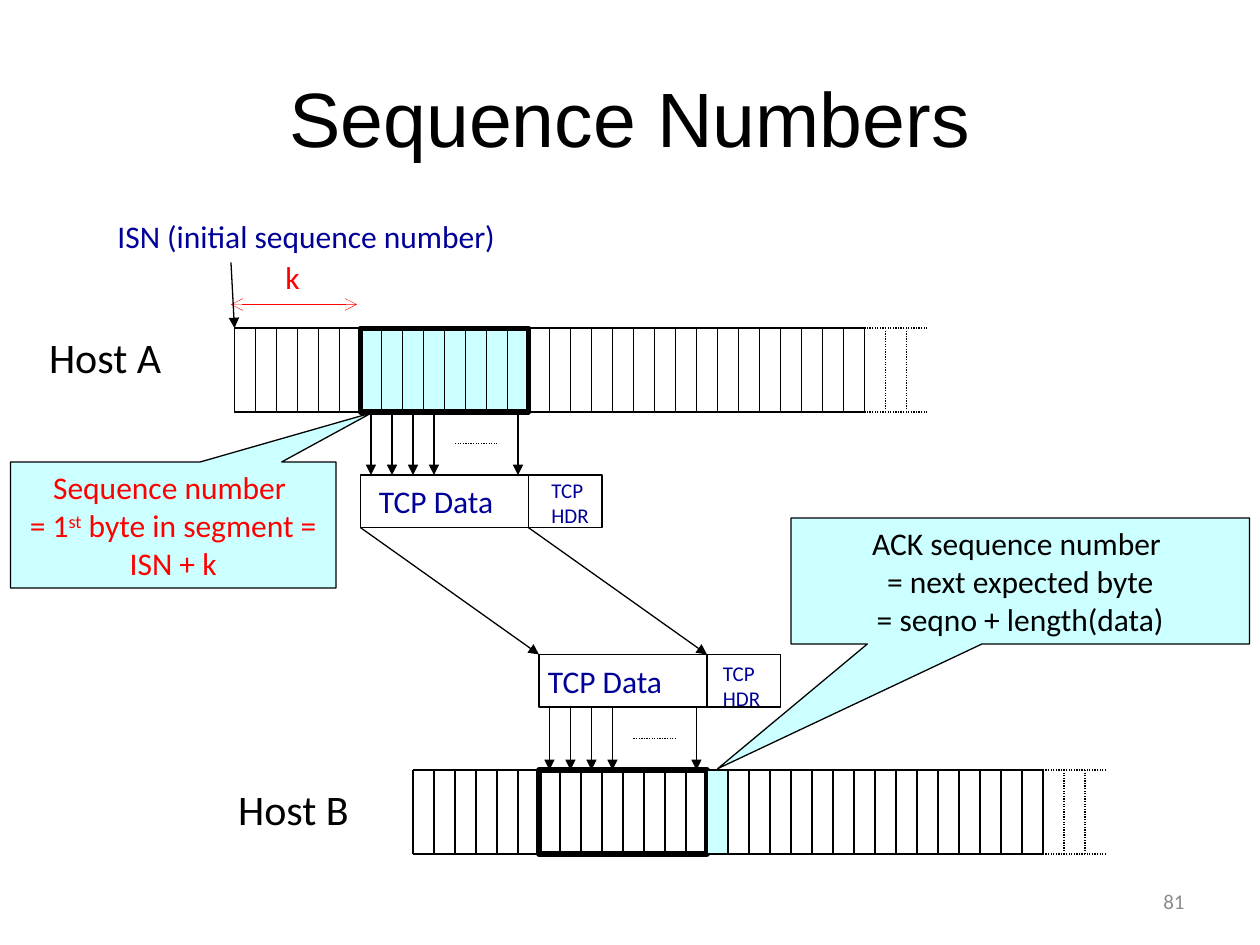
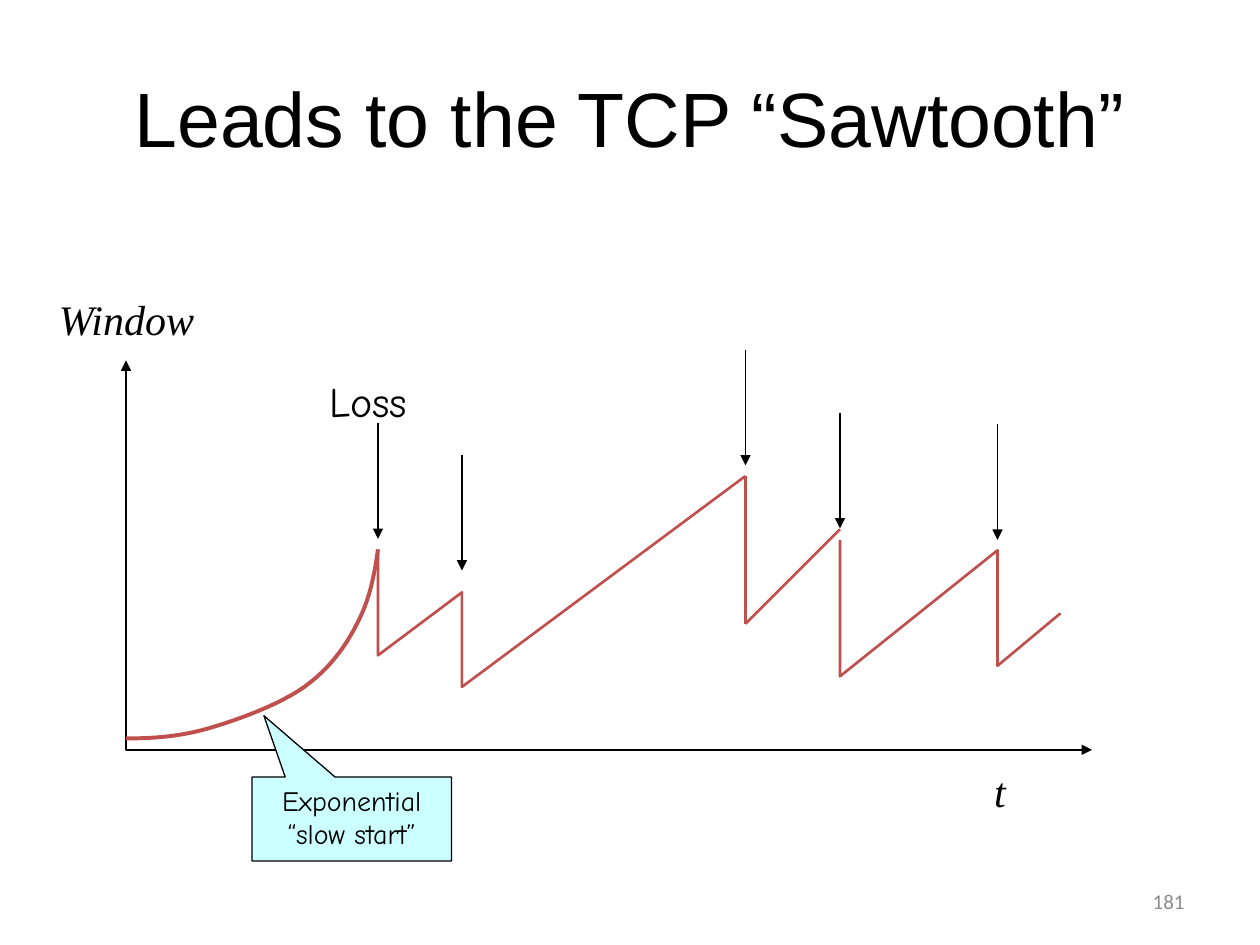
from dataclasses import dataclass, replace
from typing import NamedTuple

from lxml import etree
from pptx import Presentation
from pptx import util as u
from pptx.dml import color as col
from pptx.enum import dml, shapes, text
from pptx.oxml import ns

Point = tuple[float, float]


@dataclass(frozen=True)
class Theme:
    black: str = "000000"
    white: str = "FFFFFF"
    cyan: str = "CCFFFF"
    navy: str = "000099"
    red: str = "FF0000"
    brick: str = "C0504D"
    gray: str = "8C8C8C"
    head: float = 44
    large: float = 24
    body: float = 18
    note: float = 16
    small: float = 12


T = Theme()


@dataclass(frozen=True)
class Pen:
    color: str = T.black
    width: float = 0.75
    dots: bool = False
    head: str = ""
    tail: str = ""


@dataclass(frozen=True)
class Type:
    size: float = T.body
    color: str = T.black
    name: str = "Calibri"
    italic: bool = False


class Box(NamedTuple):
    left: float
    top: float
    width: float
    height: float

    def pts(self) -> list[u.Length]:
        return [u.Pt(side) for side in self]


class Host(NamedTuple):
    """A row of byte cells; the segment starts at its seventh cell."""
    left: float
    top: float


THIN = Pen()
DOTS = Pen(dots=True)
ARROW = Pen(tail="triangle")
BOLD = Pen(width=3)
SAW = Pen(T.brick, 1.5)
NAVY = Type(color=T.navy)
HDR = Type(T.small, T.navy)
LARGE = Type(T.large)
SERIF = Type(T.large, name="Times New Roman", italic=True)
COMIC = Type(T.note, name="Comic Neue")

CELL, TALL = 12, 48
LEAD, SENT, FULL, MORE = 6, 8, 30, 3
DATA = SENT * CELL
PACK, HEAD = 30, 42
GAP = 36


def rgb(code: str) -> col.RGBColor:
    return col.RGBColor.from_string(code)


def ink(shape, pen: Pen) -> None:
    """Style an outline, with its dots and arrowheads."""
    line = shape.line
    line.width = u.Pt(pen.width)
    line.color.rgb = rgb(pen.color)
    if pen.dots:
        line.dash_style = dml.MSO_LINE.ROUND_DOT
    stroke = shape.element.spPr.find(ns.qn("a:ln"))
    for tag, kind in (("a:headEnd", pen.head), ("a:tailEnd", pen.tail)):
        if kind:
            etree.SubElement(stroke, ns.qn(tag), type=kind)


def link(slide, start: Point, end: Point, pen: Pen = THIN) -> None:
    ends = [u.Pt(n) for n in (*start, *end)]
    line = slide.shapes.add_connector(shapes.MSO_CONNECTOR.STRAIGHT, *ends)
    ink(line, pen)
    etree.SubElement(line.element.spPr, ns.qn("a:effectLst"))


def trace(slide, points: list[Point], pen: Pen) -> None:
    """Draw an open outline through the points."""
    first, *rest = [(u.Pt(x), u.Pt(y)) for x, y in points]
    pathway = slide.shapes.build_freeform(*first)
    pathway.add_line_segments(rest, close=False)
    shape = pathway.convert_to_shape()
    shape.shadow.inherit = False
    shape.fill.background()
    ink(shape, pen)


def bend(start: Point, curves: list[tuple[Point, Point, Point]],
         steps: int = 12) -> list[Point]:
    """Turn joined cubic curves into points."""
    points = [start]
    for one, two, end in curves:
        knots = (points[-1], one, two, end)
        for step in range(1, steps + 1):
            t = step / steps
            parts = ((1 - t) ** 3, 3 * t * (1 - t) ** 2, 3 * t * t * (1 - t), t ** 3)
            points.append(tuple(sum(w * knot[axis] for w, knot in zip(parts, knots))
                                for axis in (0, 1)))
    return points


def write(frame, words: str, style: Type, align=text.PP_ALIGN.LEFT) -> None:
    """Newlines part paragraphs, \\v breaks lines, ^ marks raise text."""
    form = dict(name=style.name, size=u.Pt(style.size), italic=style.italic)
    for row, line in enumerate(words.split("\n")):
        para = frame.add_paragraph() if row else frame.paragraphs[0]
        para.alignment = align
        for part, chunk in enumerate(line.split("^")):
            for turn, piece in enumerate(chunk.split("\v")):
                if turn:
                    para.add_line_break()
                run = para.add_run()
                run.text = piece
                for key, value in form.items():
                    setattr(run.font, key, value)
                run.font.color.rgb = rgb(style.color)
                if part % 2:
                    run.font._element.set("baseline", "30000")


def label(slide, box: Box, words: str, style: Type) -> None:
    frame = slide.shapes.add_textbox(*box.pts()).text_frame
    form = dict(word_wrap=False, auto_size=text.MSO_AUTO_SIZE.SHAPE_TO_FIT_TEXT)
    for key, value in form.items():
        setattr(frame, key, value)
    write(frame, words, style)


def block(slide, box: Box, fill: str = "", pen: Pen = THIN,
          kind=shapes.MSO_SHAPE.RECTANGLE):
    shape = slide.shapes.add_shape(kind, *box.pts())
    shape.shadow.inherit = False
    if fill:
        shape.fill.solid()
        shape.fill.fore_color.rgb = rgb(fill)
    else:
        shape.fill.background()
    ink(shape, pen)
    return shape


def callout(slide, box: Box, tip: Point, words: str, style: Type) -> None:
    """Tip is given in shares of the box, from its centre."""
    shape = block(slide, box, T.cyan, kind=shapes.MSO_SHAPE.RECTANGULAR_CALLOUT)
    shape.adjustments[0], shape.adjustments[1] = tip
    frame = shape.text_frame
    frame.word_wrap = True
    frame.vertical_anchor = text.MSO_ANCHOR.TOP
    write(frame, words, style, text.PP_ALIGN.CENTER)


def begin(deck, title: str, number: int):
    """Add a slide with its title and number."""
    slide = deck.slides.add_slide(deck.slide_layouts[5])
    head = slide.shapes.title
    for key, side in zip(Box._fields, Box(36, 21.6, 648, 90).pts()):
        setattr(head, key, side)
    head.text_frame.vertical_anchor = text.MSO_ANCHOR.MIDDLE
    write(head.text_frame, title, Type(T.head, name="Arial"), text.PP_ALIGN.CENTER)
    foot = slide.shapes.add_textbox(*Box(516, 500.5, 168, 28.75).pts()).text_frame
    foot.word_wrap = True
    foot.vertical_anchor = text.MSO_ANCHOR.MIDDLE
    write(foot, str(number), Type(T.small, T.gray), text.PP_ALIGN.RIGHT)
    return slide


def stream(slide, host: Host) -> None:
    """Draw the byte cells, fading into dots on the right."""
    left, top = host
    base, edge = top + TALL, left + FULL * CELL
    for y in (top, base):
        link(slide, (left, y), (edge, y))
        link(slide, (edge + MORE * CELL, y), (edge, y), DOTS)
    for cell in range(FULL + MORE):
        x = left + cell * CELL
        link(slide, (x, top), (x, base), THIN if cell <= FULL else DOTS)


def packet(slide, left: float, top: float, data: Point, header: Point) -> None:
    block(slide, Box(left, top, DATA, PACK), T.white)
    block(slide, Box(left + DATA, top, HEAD, PACK), T.white)
    label(slide, Box(*data, 94, 29), "TCP Data", NAVY)
    label(slide, Box(*header, 41, 36), "TCP\nHDR", HDR)


def drops(slide, left: float, top: float) -> None:
    """Arrows for the first four bytes and the last, dots between."""
    for cell in (0, 1, 2, 3, SENT - 1):
        x = left + (cell + 0.5) * CELL
        link(slide, (x, top), (x, top + GAP), ARROW)
    mid = top + GAP / 2
    link(slide, (left + 4.5 * CELL, mid), (left + 6.5 * CELL, mid), DOTS)


def numbers(deck) -> None:
    slide = begin(deck, "Sequence Numbers", 81)
    one, two = Host(134, 187.5), Host(236, 440)
    from_x, to_x = (host.left + LEAD * CELL for host in (one, two))
    from_y, to_y = one.top + TALL + GAP, two.top - GAP - PACK

    block(slide, Box(from_x, one.top, DATA, TALL), T.cyan, BOLD)
    for host in (one, two):
        stream(slide, host)
    packet(slide, from_x, from_y, (209.5, 272), (308, 269.5))
    packet(slide, to_x, to_y, (306, 375), (406, 374))
    for shift in (0, DATA):
        link(slide, (from_x + shift, from_y + PACK), (to_x + shift, to_y), ARROW)
    drops(slide, from_x, one.top + TALL)
    drops(slide, to_x, to_y + PACK)
    block(slide, Box(to_x, two.top, DATA, TALL), pen=BOLD)

    callout(slide, Box(452, 296, 262, 72), (-0.66, 1.49),
            "ACK sequence number \n= next expected byte\n= seqno + length(data)",
            Type())
    block(slide, Box(to_x + DATA, two.top, CELL, TALL), T.cyan)
    callout(slide, Box(6, 264, 186, 72), (0.61, -0.89),
            "Sequence number \v= 1^st^ byte in segment = ISN + k", Type(color=T.red))

    label(slide, Box(21, 186, 86, 36), "Host A", LARGE)
    label(slide, Box(129, 444, 87, 36), "Host B", LARGE)
    label(slide, Box(60, 120.5, 254, 29), "ISN (initial sequence number)", NAVY)
    link(slide, (132, 174), (204, 174), Pen(T.red, 0.25, head="arrow", tail="arrow"))
    link(slide, (132, 150), (one.left, one.top), ARROW)
    label(slide, Box(156, 144, 27, 32), "k", Type(color=T.red))


def sawtooth(deck) -> None:
    slide = begin(deck, "Leads to the TCP “Sawtooth”", 181)
    trace(slide, [(72, 206), (72, 428.5), (624, 428.5)],
          Pen(width=1.5, head="triangle", tail="triangle"))
    for x, y in ((216, 242), (264, 260), (426, 200), (480, 236), (570, 242.5)):
        link(slide, (x, y), (x, y + 66), ARROW)
    label(slide, Box(181.5, 211, 64, 36), "Loss", replace(COMIC, size=T.large))

    start = bend((216, 314), [
        ((214, 329), (211, 343.5), (204, 356.5)),
        ((197.5, 369.5), (188, 382.5), (174, 392.5)),
        ((160, 402.5), (137, 411), (120, 416)),
        ((103, 421), (88, 422), (72, 422)),
    ])
    trace(slide, start, replace(SAW, width=2.25))
    callout(slide, Box(144, 444, 114, 48), (-0.44, -1.23),
            "Exponential\v“slow start”", COMIC)
    label(slide, Box(561, 434, 21, 36), "t", SERIF)
    label(slide, Box(26.5, 164, 93, 36), "Window", SERIF)

    trace(slide, [(216, 314), (216, 374.5), (264, 338.5), (264, 392.5), (426, 272)], SAW)
    trace(slide, [(480, 308.5), (480, 386.5), (570, 314.5), (570, 380.5), (606, 350.5)],
          SAW)
    link(slide, (426, 356.5), (480, 302.5), SAW)
    link(slide, (426, 272), (426, 356.5), SAW)


def main() -> None:
    deck = Presentation()
    deck.slide_width, deck.slide_height = u.Pt(720), u.Pt(540)
    numbers(deck)
    sawtooth(deck)
    deck.save("out.pptx")


if __name__ == "__main__":
    main()
